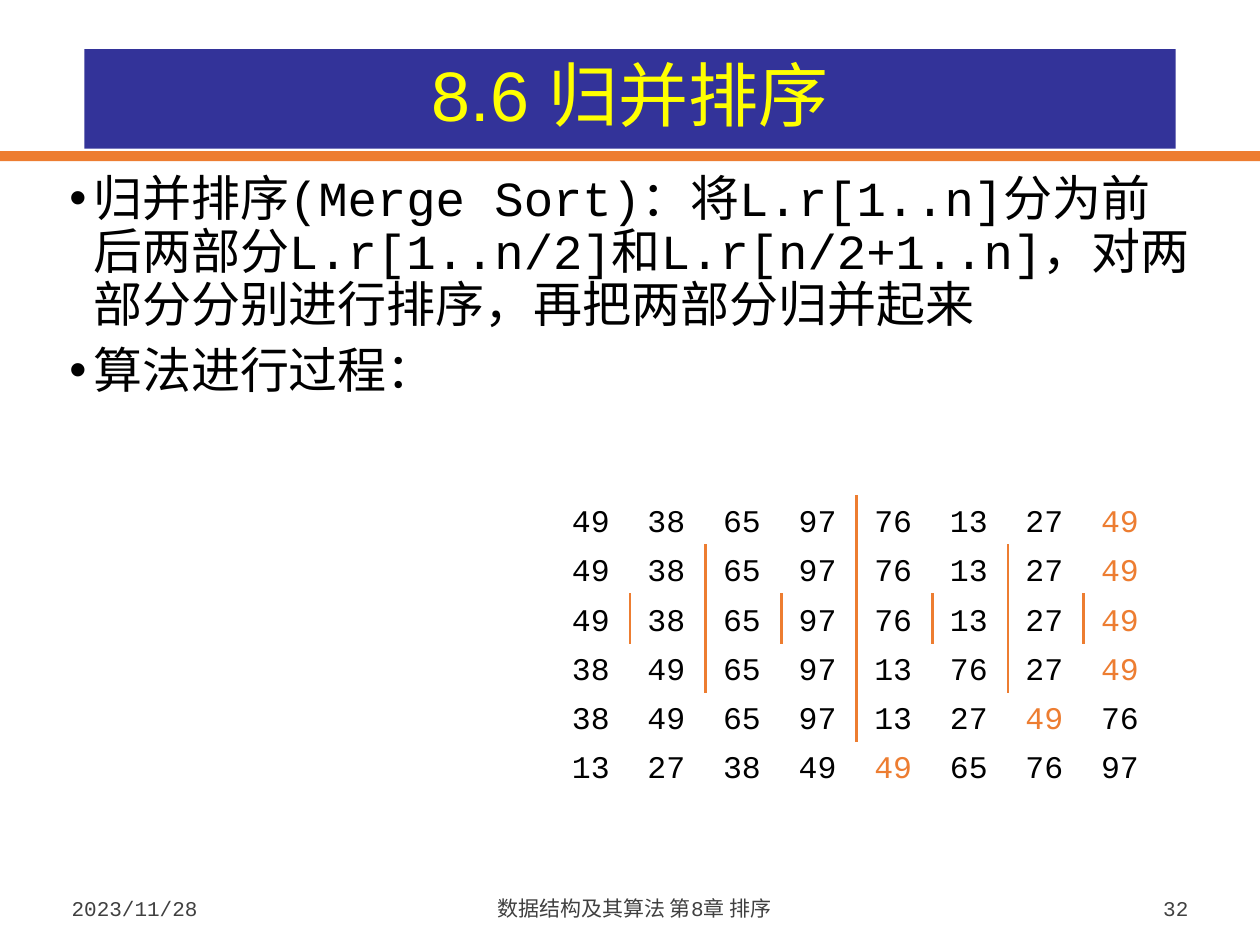
from dataclasses import dataclass

from lxml.etree import SubElement
from pptx import Presentation
from pptx.dml.color import RGBColor
from pptx.enum.shapes import MSO_CONNECTOR as Connector, MSO_SHAPE as Preset
from pptx.enum.text import MSO_ANCHOR as Anchor, MSO_AUTO_SIZE as AutoSize, PP_ALIGN as Align
from pptx.oxml.ns import qn
from pptx.util import Inches, Pt

SLIDE_WIDTH, SLIDE_HEIGHT = Inches(10), Inches(7.5)


@dataclass(frozen=True)
class Theme:
    navy: RGBColor = RGBColor(0x33, 0x33, 0x99)
    yellow: RGBColor = RGBColor(0xFF, 0xFF, 0x00)
    orange: RGBColor = RGBColor(0xED, 0x7D, 0x31)
    black: RGBColor = RGBColor(0, 0, 0)
    grey: RGBColor = RGBColor(0x40, 0x40, 0x40)
    title_font: str = "Arial"
    text_font: str = "Courier New"
    title_size: float = 40
    body_size: float = 28
    number_size: float = 18
    footer_size: float = 12
    divider_width: float = 1.5


@dataclass(frozen=True)
class Area:
    """A rectangle in percent of the slide's width and height."""
    left: float
    top: float
    width: float
    height: float

    def box(self) -> tuple[int, int, int, int]:
        return (int(SLIDE_WIDTH * self.left / 100), int(SLIDE_HEIGHT * self.top / 100),
                int(SLIDE_WIDTH * self.width / 100), int(SLIDE_HEIGHT * self.height / 100))


@dataclass(frozen=True)
class Grid:
    """Number columns and sorting steps, in inches."""
    left: float = 4.4
    top: float = 3.93
    column: float = 0.6
    row: float = 0.39
    box_height: float = 0.4

    def x(self, column: int) -> int:
        return Inches(self.left + column * self.column)

    def y(self, row: int) -> int:
        return Inches(self.top + row * self.row)


@dataclass(frozen=True)
class Step:
    numbers: tuple[int, ...]
    marked: int  # column of the second 49
    dividers: tuple[int, ...] = ()


@dataclass(frozen=True)
class Footer:
    text: str
    left: float
    width: float
    align: Align


THEME = Theme()
GRID = Grid()
START = (49, 38, 65, 97, 76, 13, 27, 49)
STEPS = (
    Step(START, 7, (4,)),
    Step(START, 7, (2, 4, 6)),
    Step(START, 7, (1, 2, 3, 4, 5, 6, 7)),
    Step((38, 49, 65, 97, 13, 76, 27, 49), 7, (2, 4, 6)),
    Step((38, 49, 65, 97, 13, 27, 49, 76), 6, (4,)),
    Step((13, 27, 38, 49, 49, 65, 76, 97), 4),
)
POINTS = (
    "归并排序(Merge Sort)：将L.r[1..n]分为前后两部分L.r[1..n/2]和L.r[n/2+1..n]，"
    "对两部分分别进行排序，再把两部分归并起来",
    "算法进行过程：",
)
FOOTERS = (
    Footer("2023/11/28", 4.7, 13, Align.LEFT),
    Footer("数据结构及其算法 第8章 排序", 18.4, 63.9, Align.CENTER),
    Footer("32", 83.5, 11.8, Align.RIGHT),
)


def place(shape, area: Area) -> None:
    shape.left, shape.top, shape.width, shape.height = area.box()


def add_run(paragraph, text: str, size: float, color: RGBColor, font: str = THEME.text_font) -> None:
    run = paragraph.add_run()
    run.text = text
    run.font.size, run.font.name = Pt(size), font
    run.font.color.rgb = color


def add_bullet(paragraph) -> None:
    properties = paragraph._p.get_or_add_pPr()
    properties.set("marL", str(Inches(0.19)))
    properties.set("indent", str(-Inches(0.19)))
    SubElement(properties, qn("a:buFont"), typeface="Arial")
    SubElement(properties, qn("a:buChar"), char="•")


def add_band(slide) -> None:
    band = slide.shapes.add_shape(Preset.RECTANGLE, *Area(0, 16, 100, 1.07).box())
    band.shadow.inherit = False
    band.fill.solid()
    band.fill.fore_color.rgb = THEME.orange
    band.line.fill.background()


def fill_title(title) -> None:
    place(title, Area(6.7, 5.2, 86.6, 10.53))
    title.fill.solid()
    title.fill.fore_color.rgb = THEME.navy
    frame = title.text_frame
    frame.auto_size, frame.vertical_anchor = AutoSize.NONE, Anchor.MIDDLE
    paragraph = frame.paragraphs[0]
    paragraph.alignment, paragraph.line_spacing = Align.CENTER, 0.9
    add_run(paragraph, "8.6 归并排序", THEME.title_size, THEME.yellow, THEME.title_font)


def fill_body(body) -> None:
    place(body, Area(4.7, 17.33, 90.6, 73.47))
    frame = body.text_frame
    frame.auto_size, frame.vertical_anchor = AutoSize.NONE, Anchor.TOP
    frame.margin_left = frame.margin_right = Inches(0.08)
    frame.margin_top = frame.margin_bottom = Inches(0.08)
    for index, point in enumerate(POINTS):
        paragraph = frame.add_paragraph() if index else frame.paragraphs[0]
        add_bullet(paragraph)
        paragraph.line_spacing = 0.9
        paragraph.space_before = Pt(7.5 if index else 0)
        add_run(paragraph, point, THEME.body_size, THEME.black)


def add_footer(slide, footer: Footer) -> None:
    frame = slide.shapes.add_textbox(*Area(footer.left, 92.93, footer.width, 5.2).box()).text_frame
    frame.word_wrap, frame.vertical_anchor = True, Anchor.BOTTOM
    frame.paragraphs[0].alignment = footer.align
    add_run(frame.paragraphs[0], footer.text, THEME.footer_size, THEME.grey)


def add_numbers(slide, row: int, step: Step) -> None:
    frame = slide.shapes.add_textbox(GRID.x(0) + Inches(0.04), GRID.y(row),
                                     Inches(4.72), Inches(GRID.box_height)).text_frame
    frame.word_wrap = True
    paragraph = frame.paragraphs[0]
    # One tab stop for each column after the first
    tabs = SubElement(paragraph._p.get_or_add_pPr(), qn("a:tabLst"))
    for column in range(1, len(step.numbers)):
        SubElement(tabs, qn("a:tab"), pos=str(Inches(column * GRID.column)), algn="l")
    for column, number in enumerate(step.numbers):
        color = THEME.orange if column == step.marked else THEME.black
        add_run(paragraph, f"\t{number}" if column else str(number), THEME.number_size, color)


def add_divider(slide, row: int, column: int) -> None:
    x, y = GRID.x(column), GRID.y(row)
    line = slide.shapes.add_connector(Connector.STRAIGHT, x, y, x, y + Inches(GRID.box_height))
    line.line.color.rgb = THEME.orange
    line.line.width = Pt(THEME.divider_width)
    SubElement(line._element.spPr, qn("a:effectLst"))


def main() -> None:
    presentation = Presentation()
    presentation.slide_width, presentation.slide_height = SLIDE_WIDTH, SLIDE_HEIGHT
    slide = presentation.slides.add_slide(presentation.slide_layouts[1])

    # Heading and explanation
    add_band(slide)
    fill_title(slide.shapes.title)
    fill_body(slide.placeholders[1])

    # Footer line
    for footer in FOOTERS:
        add_footer(slide, footer)

    # Steps of the merge sort
    for row, step in enumerate(STEPS):
        add_numbers(slide, row, step)
        for column in step.dividers:
            add_divider(slide, row, column)

    presentation.save("out.pptx")


if __name__ == "__main__":
    main()
